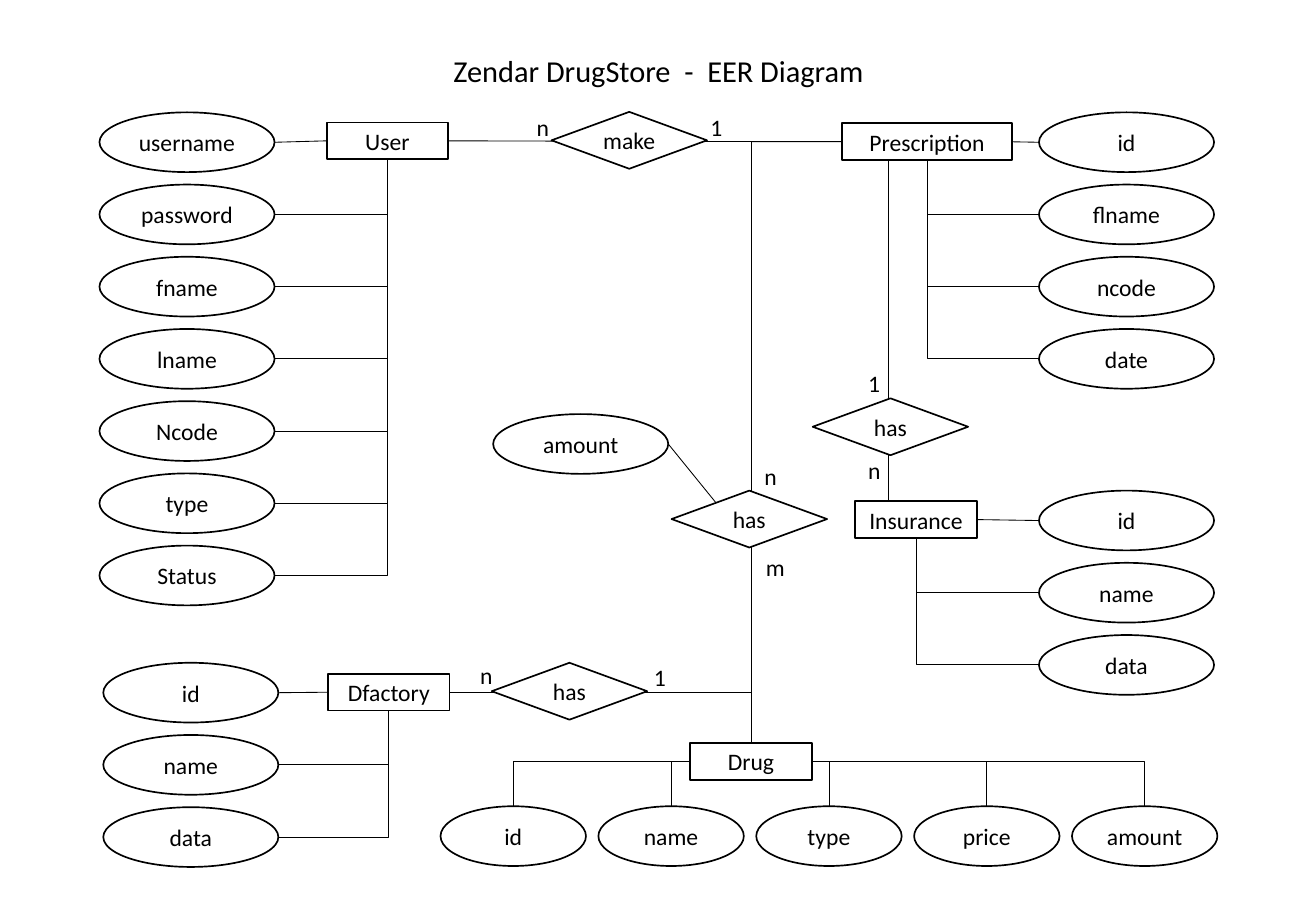
from lxml import etree
from pptx import Presentation
from pptx import util as u
from pptx.dml.color import RGBColor
from pptx.enum import shapes, text
from pptx.oxml.ns import qn

BLACK = RGBColor(0, 0, 0)
WHITE = RGBColor(255, 255, 255)
FONT = "Calibri"
ROW = 1.51
OVAL_WIDTH, OVAL_HEIGHT = 3.66, 1.25
BOX_WIDTH, BOX_HEIGHT = 2.54, 0.77
DIAMOND_WIDTH, DIAMOND_HEIGHT = 3.25, 1.19


def write(frame, content, size=14, align=text.PP_ALIGN.CENTER, anchor=text.MSO_ANCHOR.MIDDLE):
    frame.word_wrap = False
    frame.auto_size = text.MSO_AUTO_SIZE.NONE
    frame.vertical_anchor = anchor
    para = frame.paragraphs[0]
    para.alignment = align
    span = para.add_run()
    span.text = content
    span.font.name, span.font.size = FONT, u.Pt(size)
    span.font.color.rgb = BLACK


def side(shape, name):
    middle = shape.left + shape.width // 2
    centre = shape.top + shape.height // 2
    return {
        "left": (shape.left, centre),
        "right": (shape.left + shape.width, centre),
        "top": (middle, shape.top),
        "bottom": (middle, shape.top + shape.height),
    }[name]


class Diagram:
    """Draws the parts of an entity-relationship diagram on one slide."""

    def __init__(self, deck):
        self.page = deck.slides.add_slide(deck.slide_layouts[5])

    def title(self, content, left, top, width, height):
        box = self.page.shapes.title
        box.left, box.top, box.width, box.height = map(u.Cm, (left, top, width, height))
        write(box.text_frame, content, size=18)

    def node(self, kind, content, left, top, width, height, fill=None):
        shape = self.page.shapes.add_shape(kind, *map(u.Cm, (left, top, width, height)))
        shape.shadow.inherit = False
        if fill is None:
            shape.fill.background()
        else:
            shape.fill.solid()
            shape.fill.fore_color.rgb = fill
        shape.line.color.rgb, shape.line.width = BLACK, u.Pt(1)
        write(shape.text_frame, content)
        return shape

    def entity(self, content, left, top, width=BOX_WIDTH, fill=None):
        return self.node(shapes.MSO_SHAPE.RECTANGLE, content, left, top, width, BOX_HEIGHT, fill)

    def attribute(self, content, left, top, width=OVAL_WIDTH):
        return self.node(shapes.MSO_SHAPE.OVAL, content, left, top, width, OVAL_HEIGHT)

    def relation(self, content, left, top):
        return self.node(shapes.MSO_SHAPE.DIAMOND, content, left, top,
                         DIAMOND_WIDTH, DIAMOND_HEIGHT, WHITE)

    def label(self, content, left, top):
        box = self.page.shapes.add_textbox(*map(u.Cm, (left, top, 0.78, 0.86)))
        write(box.text_frame, content, align=text.PP_ALIGN.LEFT, anchor=text.MSO_ANCHOR.TOP)

    def link(self, start, end, preset="line", bend=None):
        line = self.page.shapes.add_connector(shapes.MSO_CONNECTOR.STRAIGHT, *start, *end)
        line.line.color.rgb, line.line.width = BLACK, u.Pt(0.5)
        properties = line._element.spPr
        etree.SubElement(properties, qn("a:effectLst"))
        geometry = properties.find(qn("a:prstGeom"))
        geometry.set("prst", preset)
        if bend is not None:
            guide = etree.SubElement(geometry.find(qn("a:avLst")), qn("a:gd"))
            guide.set("name", "adj1")
            guide.set("fmla", f"val {round(bend * 100000)}")
        self.page.shapes._spTree.insert(2, line._element)

    def elbow(self, start, end):
        self.link(start, end, "bentConnector2")

    def column(self, entity, names, left, top, facing):
        opposite = {"left": "right", "right": "left"}[facing]
        for index, name in enumerate(names):
            leaf = self.attribute(name, left, top + index * ROW)
            if index == 0:
                self.link(side(entity, opposite), side(leaf, facing))
            else:
                self.elbow(side(leaf, facing), side(entity, "bottom"))


deck = Presentation()
deck.slide_width, deck.slide_height = u.Cm(27.51), u.Cm(19.05)
diagram = Diagram(deck)
diagram.title("Zendar DrugStore  -  EER Diagram", 9.12, 0.97, 9.3, 1.02)

user = diagram.entity("User", 6.83, 2.56)
factory = diagram.entity("Dfactory", 6.86, 14.09)
insurance = diagram.entity("Insurance", 17.88, 10.48, fill=WHITE)
prescription = diagram.entity("Prescription", 17.6, 2.58, width=3.56, fill=WHITE)
drug = diagram.entity("Drug", 14.43, 15.54)

for entity, names, left, top, facing in (
    (user, ("username", "password", "fname", "lname", "Ncode", "type", "Status"), 2.08, 2.35, "right"),
    (factory, ("id", "name", "data"), 2.16, 13.86, "right"),
    (insurance, ("id", "name", "data"), 21.72, 10.26, "left"),
    (prescription, ("id", "flname", "ncode", "date"), 21.72, 2.35, "left"),
):
    diagram.column(entity, names, left, top, facing)

for index, name in enumerate(("id", "name", "type", "price", "amount")):
    leaf = diagram.attribute(name, 9.21 + index * 3.3, 16.86, width=3.04)
    diagram.elbow(side(drug, "left" if index < 2 else "right"), side(leaf, "top"))

for content, left, top in (
    ("make", 11.53, 2.34), ("has", 10.28, 13.86), ("has", 16.99, 8.33), ("has", 14.04, 10.26),
):
    diagram.relation(content, left, top)

amount = diagram.attribute("amount", 10.31, 8.66)
diagram.link(side(amount, "right"), (u.Cm(15.24), u.Cm(10.85)))
diagram.link(side(user, "right"), side(prescription, "left"))
diagram.elbow(side(prescription, "left"), side(drug, "top"))
diagram.elbow(side(factory, "right"), side(drug, "top"))
run_in = (u.Cm(18.57) - prescription.left) / (insurance.left - prescription.left)
diagram.link(side(prescription, "left"), side(insurance, "left"), "bentConnector3", run_in)

for content, left, top in (
    ("1", 14.6, 2.24), ("n", 10.97, 2.24), ("1", 17.9, 7.6), ("n", 17.9, 9.4),
    ("n", 15.73, 9.53), ("m", 15.76, 11.44), ("n", 9.79, 13.7), ("1", 13.42, 13.74),
):
    diagram.label(content, left, top)

deck.save("out.pptx")
